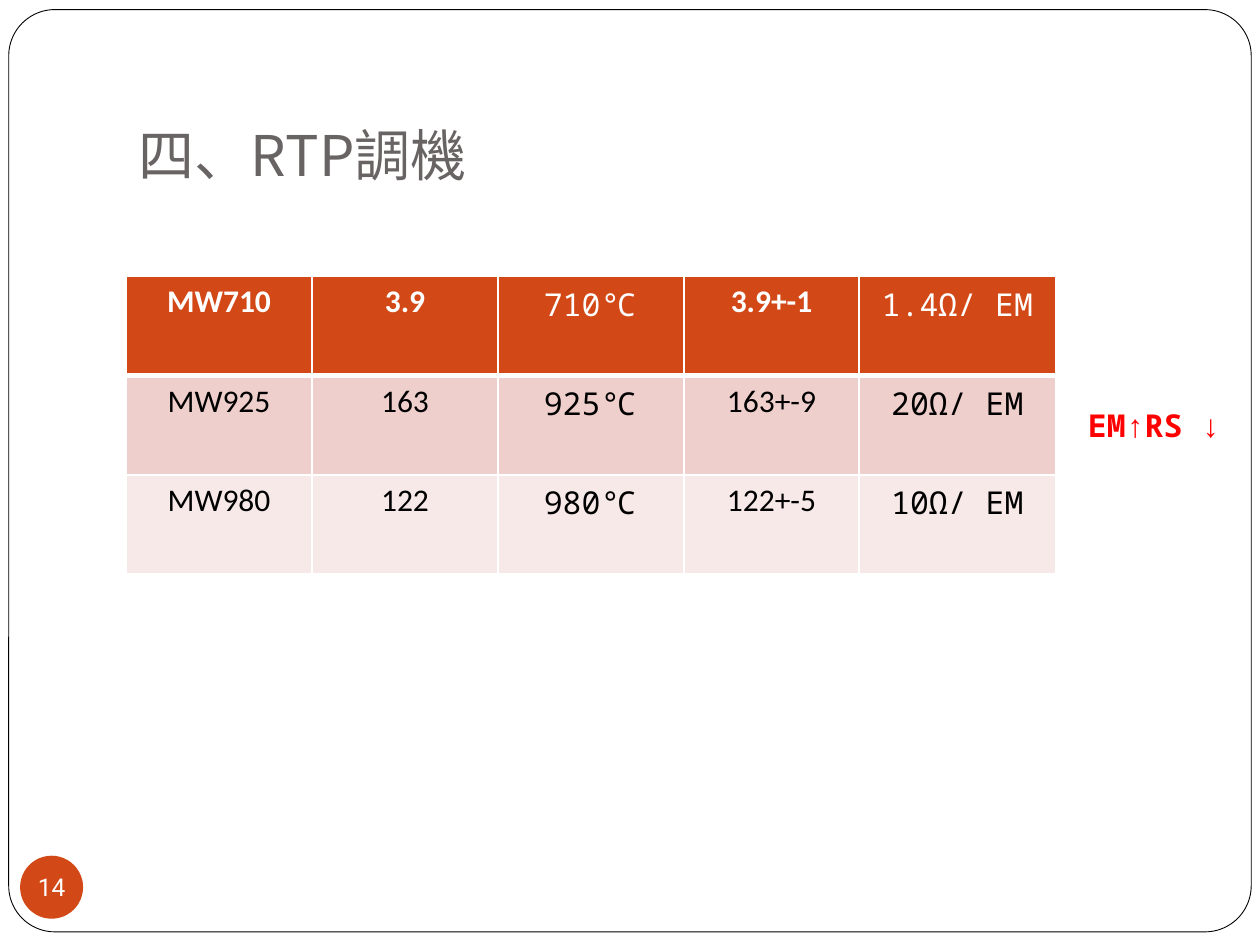
import pptx
import pptx.util
import pptx.dml.color
import pptx.enum.shapes
import pptx.enum.text
import pptx.oxml.ns
from lxml import etree

Pt = pptx.util.Pt
Shape = pptx.enum.shapes.MSO_SHAPE
Align = pptx.enum.text.PP_ALIGN
Anchor = pptx.enum.text.MSO_ANCHOR
qn = pptx.oxml.ns.qn

COLORS = {
    "white": "FFFFFF", "black": "000000", "accent": "D34817",
    "title": "696464", "band": "EFCFCC", "pale": "F7E9E8", "red": "FF0000",
}
SANS, MONO, CJK, ROUND = "Calibri", "Noto Sans Mono", "Noto Sans CJK SC", "Roboto"


def rgb(name):
    return pptx.dml.color.RGBColor.from_string(COLORS[name])


class Deck:
    def __init__(self, slide):
        self.slide = slide
        self.shapes = slide.shapes

    def text(self, frame, words, face, size, color, bold=False, align=Align.CENTER):
        para = frame.paragraphs[0]
        para.text = words
        para.alignment = align
        font = para.font
        font.name, font.size, font.bold = face, Pt(size), bold
        font.color.rgb = rgb(color)
        # East Asian letters need their own typeface entry
        props = para._p.pPr.find(qn("a:defRPr"))
        etree.SubElement(props, qn("a:ea"), typeface=face)

    def title(self, words, box):
        shape = self.shapes.title
        shape.left, shape.top, shape.width, shape.height = map(Pt, box)
        frame = shape.text_frame
        frame.auto_size = pptx.enum.text.MSO_AUTO_SIZE.NONE
        frame.vertical_anchor = Anchor.TOP
        frame.margin_top = 0
        self.text(frame, words, CJK, 32, "title", align=Align.LEFT)

    def shape(self, kind, box, fill, line=None):
        shape = self.shapes.add_shape(kind, *map(Pt, box))
        shape.shadow.inherit = False
        shape.fill.solid()
        shape.fill.fore_color.rgb = rgb(fill)
        if line:
            shape.line.color.rgb = rgb(line)
            shape.line.width = Pt(0.5)
        else:
            shape.line.fill.background()
        return shape

    def badge(self, words, box):
        frame = self.shape(Shape.OVAL, box, "accent").text_frame
        frame.word_wrap = False
        frame.vertical_anchor = Anchor.MIDDLE
        frame.margin_left = frame.margin_right = 0
        frame.margin_top = frame.margin_bottom = 0
        self.text(frame, words, ROUND, 14, "white")

    def label(self, words, box):
        frame = self.shapes.add_textbox(*map(Pt, box)).text_frame
        frame.word_wrap = False
        self.text(frame, words, MONO, 18, "red", bold=True)

    def border(self, cell, side, width):
        props = cell._tc.get_or_add_tcPr()
        line = etree.SubElement(props, qn("a:ln" + side), w=str(Pt(width)))
        fill = etree.SubElement(line, qn("a:solidFill"))
        etree.SubElement(fill, qn("a:srgbClr"), val=COLORS["white"])

    def table(self, rows, left, top, widths, high, fills, faces):
        size = len(rows), len(widths)
        box = left, top, sum(widths), high * len(rows)
        grid = self.shapes.add_table(*size, *map(Pt, box)).table
        for col, width in zip(grid.columns, widths):
            col.width = Pt(width)
        for r, row in enumerate(rows):
            grid.rows[r].height = Pt(high)
            head = r == 0
            # A thick rule parts the header from the body
            sides = {"L": 1, "R": 1, "T": 3 if r == 1 else 1, "B": 3 if head else 1}
            for c, words in enumerate(row):
                cell = grid.cell(r, c)
                for side, width in sides.items():
                    self.border(cell, side, width)
                cell.fill.solid()
                cell.fill.fore_color.rgb = rgb(fills[r])
                self.text(cell.text_frame, words, faces[c], 18,
                          "white" if head else "black",
                          bold=head and faces[c] == SANS)


def main():
    prs = pptx.Presentation()
    prs.slide_width, prs.slide_height = Pt(720), Pt(540)
    deck = Deck(prs.slides.add_slide(prs.slide_layouts[5]))

    # Frame, placed behind the title
    frame = deck.shape(Shape.ROUNDED_RECTANGLE, (5, 5.5, 710, 527), "white", "black")
    frame.adjustments[0] = 0.05
    deck.shapes.title._element.addprevious(frame._element)

    # Page number and title
    deck.badge("14", (11.5, 489, 36, 36))
    deck.title("四、RTP調機", (72, 69, 611, 76))

    # Settings table
    rows = [
        ("MW710", "3.9", "710℃", "3.9+-1", "1.4Ω/ EM"),
        ("MW925", "163", "925℃", "163+-9", "20Ω/ EM"),
        ("MW980", "122", "980℃", "122+-5", "10Ω/ EM"),
    ]
    deck.table(rows, 72, 158, (106.3, 106.3, 106.3, 100, 112.3), 56.7,
               ("accent", "band", "pale"), (SANS, SANS, MONO, SANS, MONO))

    # Side note
    deck.label("EM↑RS ↓", (608.5, 228.5, 102, 29))

    prs.save("out.pptx")


if __name__ == "__main__":
    main()
